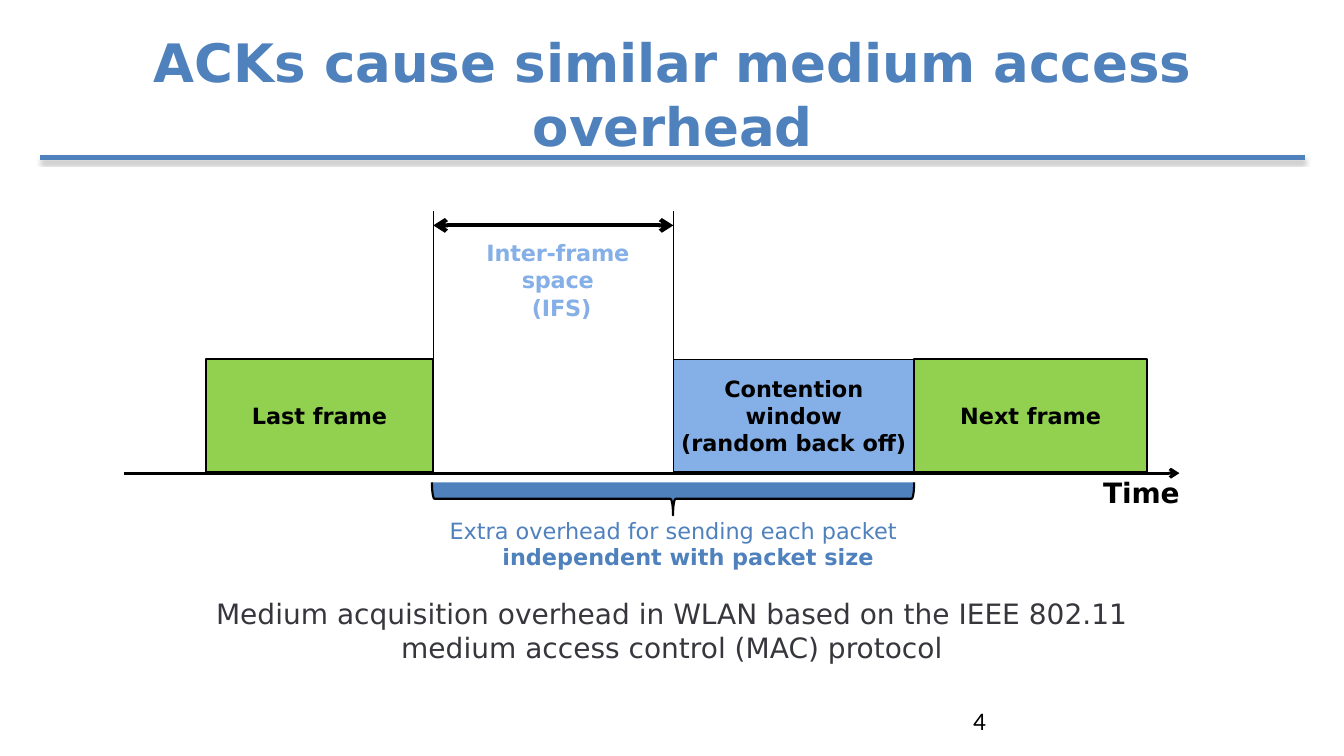
from lxml.etree import SubElement
from pptx import Presentation
from pptx.dml.color import RGBColor
from pptx.enum.shapes import MSO_CONNECTOR as Link, MSO_SHAPE as Preset
from pptx.enum.text import MSO_ANCHOR as Anchor, PP_ALIGN as Align
from pptx.oxml.ns import qn
from pptx.util import Pt

BLUE = RGBColor(0x4F, 0x81, 0xBD)
SKY = RGBColor(0x85, 0xAF, 0xE7)
GREEN = RGBColor(0x92, 0xD0, 0x50)
BLACK = RGBColor(0x00, 0x00, 0x00)
CHARCOAL = RGBColor(0x36, 0x36, 0x3D)

FRAME_TOP, FRAME_BOTTOM = 256.5, 337
LAST_START, LAST_END, WINDOW_START, WINDOW_END, NEXT_END = 147, 309.5, 481, 653, 819.5


class Canvas:
    font = "DejaVu Sans"

    def __init__(self, page):
        self.page = page

    def label(self, shape, lines, size, color, bold=False, align=Align.CENTER,
              anchor=Anchor.TOP, inset=(0, 0), before=0, spacing=0, font=None):
        frame = shape.text_frame
        frame.word_wrap = True
        frame.vertical_anchor = anchor
        frame.margin_left = frame.margin_right = Pt(inset[0])
        frame.margin_top = frame.margin_bottom = Pt(inset[1])
        for index, line in enumerate(lines):
            para = frame.add_paragraph() if index else frame.paragraphs[0]
            para.alignment = align
            para.space_before = Pt(before)
            span = para.add_run()
            span.text = line
            span.font.name = font or self.font
            span.font.size = Pt(size)
            span.font.bold = bold
            span.font.color.rgb = color
            if spacing:
                span.font._element.set("spc", str(spacing))

    def text(self, left, top, width, height, lines, size, color, **style):
        box = self.page.shapes.add_textbox(Pt(left), Pt(top), Pt(width), Pt(height))
        self.label(box, lines, size, color, **style)

    def shape(self, preset, left, top, width, height, fill, weight):
        shape = self.page.shapes.add_shape(
            preset, Pt(left), Pt(top), Pt(width), Pt(height))
        shape.shadow.inherit = False
        shape.fill.solid()
        shape.fill.fore_color.rgb = fill
        shape.line.color.rgb = BLACK
        shape.line.width = Pt(weight)
        return shape

    def block(self, left, right, lines, fill, weight):
        shape = self.shape(Preset.RECTANGLE, left, FRAME_TOP, right - left,
                           FRAME_BOTTOM - FRAME_TOP, fill, weight)
        self.label(shape, lines, 16, BLACK, bold=True,
                   anchor=Anchor.MIDDLE, inset=(3, 0))

    def brace(self, left, right, top, depth):
        span = right - left
        shape = self.shape(Preset.LEFT_BRACE, (left + right - depth) / 2,
                           top + (depth - span) / 2, depth, span, BLUE, 1.5)
        shape.rotation = 270
        shape.adjustments[0] = 0.08
        shape.adjustments[1] = 0.5

    def line(self, x1, y1, x2, y2, weight, color=BLACK, ends=(), shadow=False):
        link = self.page.shapes.add_connector(
            Link.STRAIGHT, Pt(x1), Pt(y1), Pt(x2), Pt(y2))
        link.line.color.rgb = color
        link.line.width = Pt(weight)
        outline = link._element.spPr.find(qn("a:ln"))
        for end in ends:
            SubElement(outline, qn(f"a:{end}"), type="arrow")
        effects = SubElement(link._element.spPr, qn("a:effectLst"))
        if shadow:
            cast = SubElement(effects, qn("a:outerShdw"), blurRad=str(Pt(3.1)),
                              dist=str(Pt(1.8)), dir="5400000", rotWithShape="0")
            tint = SubElement(cast, qn("a:srgbClr"), val=str(BLACK))
            SubElement(tint, qn("a:alpha"), val="35000")


def main():
    deck = Presentation()
    deck.slide_width, deck.slide_height = Pt(960), Pt(540)
    canvas = Canvas(deck.slides.add_slide(deck.slide_layouts[6]))

    canvas.line(932.5, 112.5, 28.5, 112.5, 3, BLUE, shadow=True)
    canvas.text(1.5, 21.5, 958, 90, ["ACKs cause similar medium access overhead"],
                37.8, BLUE, bold=True, anchor=Anchor.MIDDLE, inset=(7.2, 3.6))

    canvas.block(LAST_START, LAST_END, ["Last frame"], GREEN, 1.5)
    canvas.block(WINDOW_START, WINDOW_END,
                 ["Contention window", "(random back off)"], SKY, 0.75)
    canvas.block(WINDOW_END, NEXT_END, ["Next frame"], GREEN, 1.5)

    for edge in (LAST_END, WINDOW_START):
        canvas.line(edge, 151, edge, 258, 0.75)
    canvas.line(LAST_END, 161, WINDOW_START, 161, 3, ends=("headEnd", "tailEnd"))
    canvas.text(322.5, 170, 152, 60.5, ["Inter-frame space", " (IFS)"], 16, SKY,
                bold=True, inset=(0, 0.7), before=1, spacing=-10)

    canvas.line(88.5, 338, 842.5, 338, 2.2, ends=("tailEnd",))
    canvas.text(788, 339, 64, 25, ["Time"], 20, BLACK, bold=True,
                align=Align.LEFT, inset=(0, 0.7), before=1, spacing=-10)

    canvas.brace(308.5, WINDOW_END, 344.5, 23.5)
    canvas.text(291, 369, 380, 24, ["Extra overhead for sending each packet"], 16, BLUE)
    canvas.text(330, 388, 323, 22, ["independent with packet size"], 16, BLUE, bold=True)
    canvas.text(120, 426, 720, 60,
                ["Medium acquisition overhead in WLAN based on the IEEE 802.11 "
                 "medium access control (MAC) protocol"], 20, CHARCOAL)
    canvas.text(688, 500.5, 224, 29, ["4"], 18, BLACK, align=Align.LEFT,
                inset=(7.2, 3.6), font="Calibri")
    deck.save("out.pptx")


if __name__ == "__main__":
    main()
